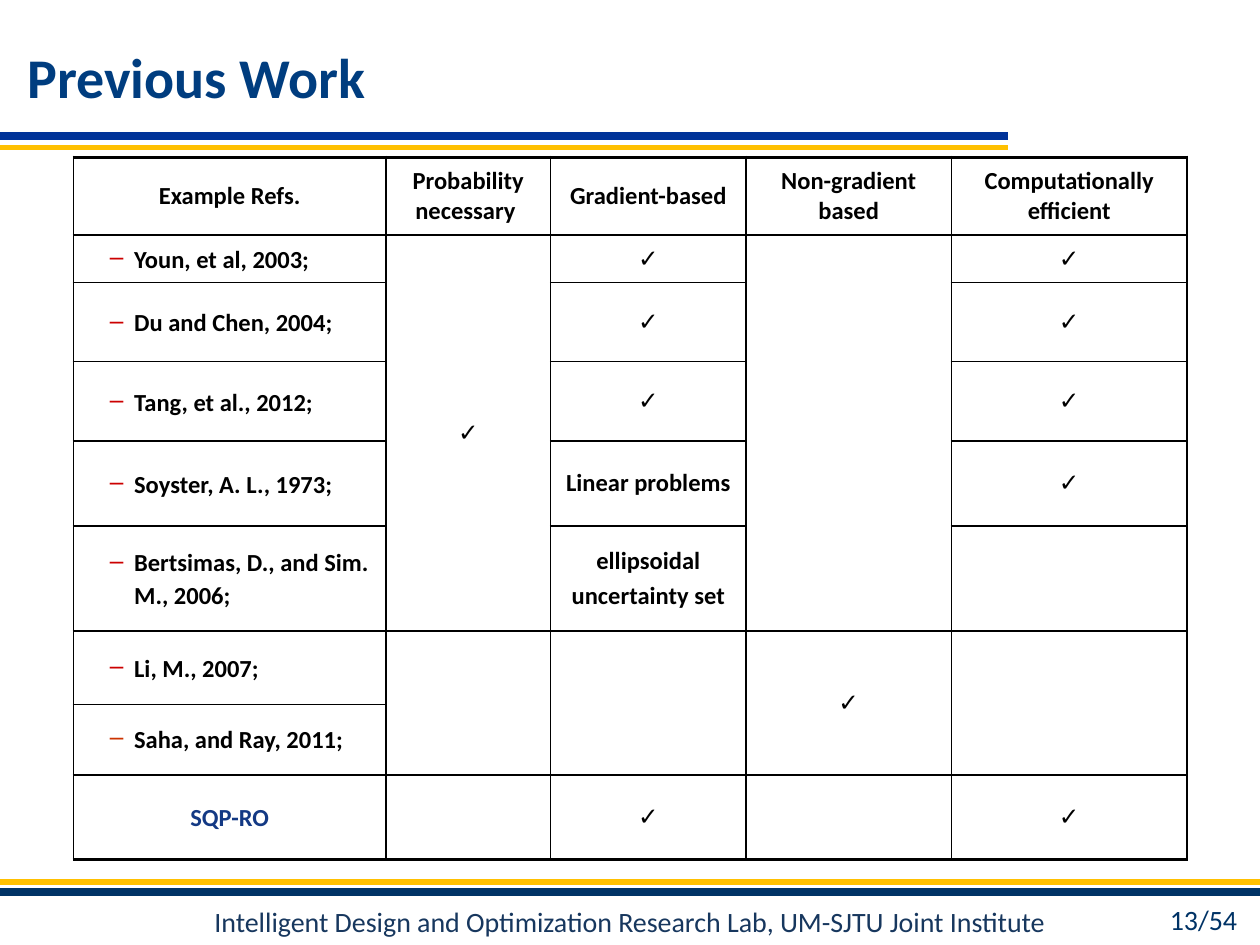
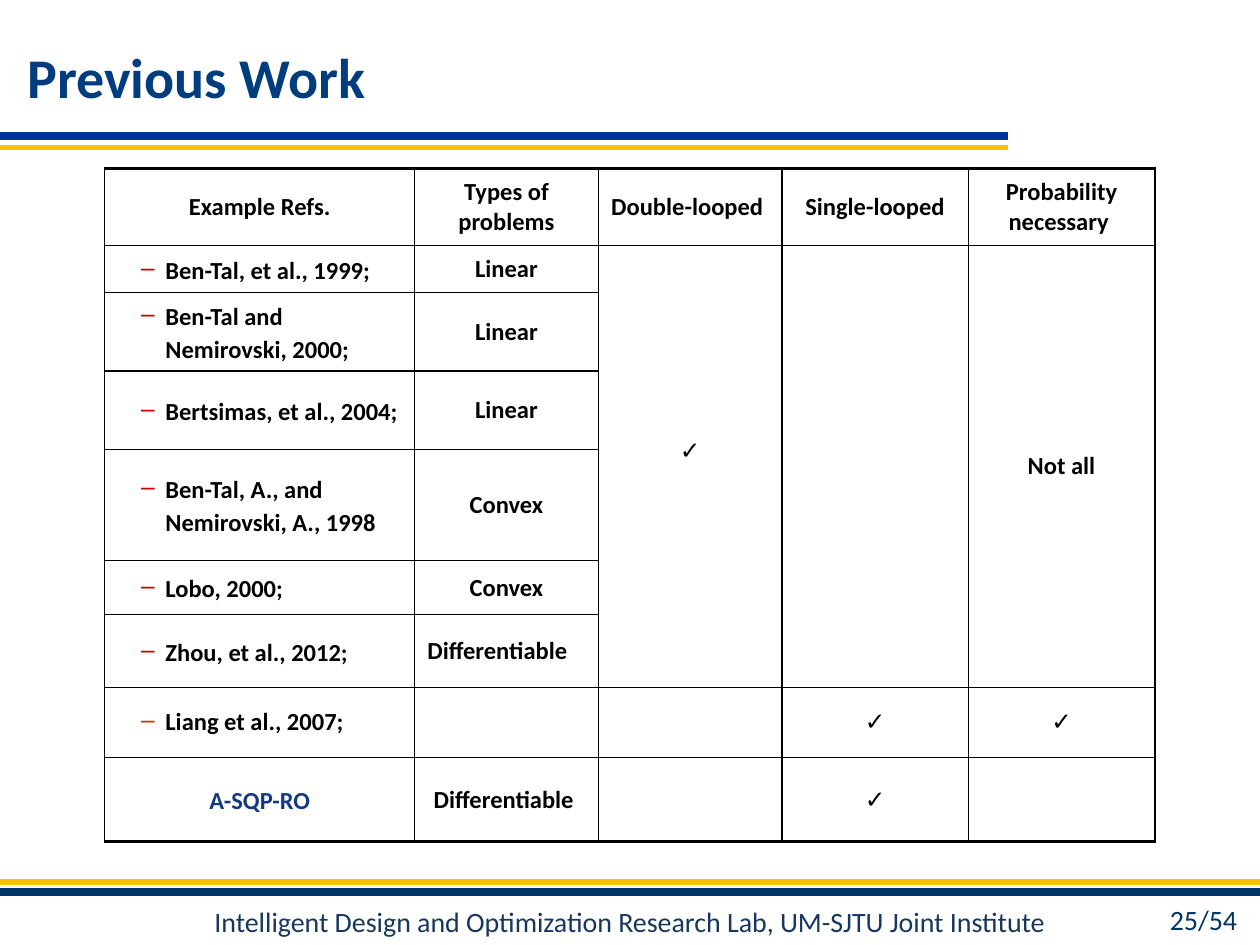
"""Build two slides that compare previous work in tables."""
from lxml import etree
from pptx import Presentation
from pptx.dml.color import RGBColor
from pptx.enum.shapes import MSO_CONNECTOR
from pptx.enum.text import MSO_ANCHOR, PP_ALIGN
from pptx.oxml.ns import qn
from pptx.util import Cm, Pt

STRAIGHT = MSO_CONNECTOR.STRAIGHT
TOP, MIDDLE = MSO_ANCHOR.TOP, MSO_ANCHOR.MIDDLE
LEFT, CENTER, RIGHT = PP_ALIGN.LEFT, PP_ALIGN.CENTER, PP_ALIGN.RIGHT

BLACK = RGBColor(0x00, 0x00, 0x00)
TITLE_BLUE = RGBColor(0x00, 0x3D, 0x7F)
BAND_BLUE = RGBColor(0x00, 0x33, 0x99)
NAVY = RGBColor(0x00, 0x33, 0x66)
FOOTER_BLUE = RGBColor(0x17, 0x37, 0x5E)
METHOD_BLUE = RGBColor(0x13, 0x39, 0x84)
GOLD = RGBColor(0xFF, 0xC0, 0x00)
RED = RGBColor(0xCC, 0x00, 0x00)
ORANGE = RGBColor(0xCC, 0x33, 0x00)

FONT = "Calibri"
SLIDE_WIDTH, SLIDE_HEIGHT = 25.4, 19.05
BANDS = [
    (2.74, 20.32, BAND_BLUE, 4.5),
    (2.97, 20.32, GOLD, 3),
    (17.78, SLIDE_WIDTH, GOLD, 3),
    (17.98, SLIDE_WIDTH, NAVY, 4.5),
]
FOOTER = "Intelligent Design and Optimization Research Lab, UM-SJTU Joint Institute"
CHECK = "✓"

ROBUST_WORK = {
    "left": 1.48,
    "top": 3.17,
    "widths": [6.3, 3.32, 3.94, 4.14, 4.75],
    "heights": [1.57, 0.95, 1.6, 1.6, 1.71, 2.12, 1.48, 1.42, 1.7],
    "rows": [
        ["Example Refs.", "Probability necessary ", "Gradient-based",
         "Non-gradient based", "Computationally efficient"],
        ["Youn, et al, 2003;", CHECK, CHECK, "", CHECK],
        ["Du and Chen, 2004;", "", CHECK, "", CHECK],
        ["Tang, et al., 2012;", "", CHECK, "", CHECK],
        ["Soyster, A. L., 1973;", "", "Linear problems", "", CHECK],
        ["Bertsimas, D., and Sim. M., 2006;", "", "ellipsoidal\nuncertainty set", "", ""],
        ["Li, M., 2007;", "", "", CHECK, ""],
        ["Saha, and Ray, 2011;", "", "", "", ""],
        ["SQP-RO", "", CHECK, "", CHECK],
    ],
    "merges": [(1, 5, 1), (1, 5, 3), (6, 7, 1), (6, 7, 2), (6, 7, 3), (6, 7, 4)],
}
LOOPED_WORK = {
    "left": 2.11,
    "top": 3.39,
    "widths": [6.25, 3.7, 3.7, 3.76, 3.76],
    "heights": [1.56, 0.95, 1.58, 1.58, 2.24, 1.09, 1.47, 1.41, 1.7],
    "rows": [
        ["Example Refs.", "Types of problems", "Double-looped ",
         "Single-looped", "Probability necessary "],
        ["Ben-Tal, et al., 1999;", "Linear", CHECK, "", "Not all"],
        ["Ben-Tal and Nemirovski, 2000;", "Linear", "", "", ""],
        ["Bertsimas, et al., 2004;", "Linear", "", "", ""],
        ["Ben-Tal, A., and Nemirovski, A., 1998", "Convex", "", "", ""],
        ["Lobo, 2000;", "Convex", "", "", ""],
        ["Zhou, et al., 2012;", "Differentiable", "", "", ""],
        ["Liang et al., 2007;", "", "", CHECK, CHECK],
        ["A-SQP-RO", "Differentiable ", "", CHECK, ""],
    ],
    "merges": [(1, 6, 2), (1, 6, 3), (1, 6, 4)],
}


def write(frame, text, size=14, color=BLACK, bold=False, align=LEFT,
          before=0, spacing=1.0, dash=None):
    """Write one paragraph per line of text, with an optional coloured dash."""
    for number, line in enumerate(text.split("\n")):
        para = frame.add_paragraph() if number else frame.paragraphs[0]
        para.alignment = align
        para.space_before = Pt(before)
        para.line_spacing = spacing
        if dash is not None:
            properties = para._p.get_or_add_pPr()
            properties.set("marL", str(Cm(0.97)))
            properties.set("indent", str(-Cm(0.49)))
            tint = etree.SubElement(properties, qn("a:buClr"))
            etree.SubElement(tint, qn("a:srgbClr"), val=str(dash))
            etree.SubElement(properties, qn("a:buChar"), char="–")
        span = para.add_run()
        span.text = line
        span.font.name = FONT
        span.font.size = Pt(size)
        span.font.bold = bold
        span.font.color.rgb = color


def set_borders(cell, top, bottom):
    """Give a cell thin black sides and the given top and bottom widths."""
    properties = cell._tc.get_or_add_tcPr()
    for side, width in (("L", 1), ("R", 1), ("T", top), ("B", bottom)):
        line = etree.SubElement(properties, qn(f"a:ln{side}"), w=str(Pt(width)))
        fill = etree.SubElement(line, qn("a:solidFill"))
        etree.SubElement(fill, qn("a:srgbClr"), val=str(BLACK))


class DeckBuilder:
    """Hold the deck style and the current page."""

    def __init__(self):
        """Start an empty deck."""
        self.deck = Presentation()
        self.deck.slide_width = Cm(SLIDE_WIDTH)
        self.deck.slide_height = Cm(SLIDE_HEIGHT)
        self.page = None

    def add_page(self, title, number):
        """Add a page with its bands, title, footer and page number."""
        self.page = self.deck.slides.add_slide(self.deck.slide_layouts[6])
        for band in BANDS:
            self.add_band(*band)
        self.add_text(title, 0.3, 0.64, 20, 1.78, size=32, color=TITLE_BLUE, bold=True)
        self.add_text(FOOTER, 1.3, 18.11, 22.8, 0.94, anchor=TOP,
                      size=16, color=FOOTER_BLUE, align=CENTER)
        self.add_text(number, 22.78, 18.03, 2.41, 1.02, size=16, color=NAVY, align=RIGHT)

    def add_band(self, top, length, color, width):
        """Draw a horizontal line from the left edge of the page."""
        band = self.page.shapes.add_connector(STRAIGHT, 0, Cm(top), Cm(length), Cm(top))
        band.line.color.rgb = color
        band.line.width = Pt(width)
        etree.SubElement(band._element.spPr, qn("a:effectLst"))

    def add_text(self, text, left, top, width, height, anchor=MIDDLE, **style):
        """Add a wrapped text box."""
        box = self.page.shapes.add_textbox(Cm(left), Cm(top), Cm(width), Cm(height))
        box.text_frame.word_wrap = True
        box.text_frame.vertical_anchor = anchor
        write(box.text_frame, text, **style)

    def add_table(self, left, top, widths, heights, rows, merges):
        """Add a comparison table and return it."""
        table = self.page.shapes.add_table(
            len(rows), len(widths), Cm(left), Cm(top),
            Cm(sum(widths)), Cm(sum(heights))).table
        table.first_row = table.horz_banding = False
        for column, width in zip(table.columns, widths):
            column.width = Cm(width)
        for row, height in zip(table.rows, heights):
            row.height = Cm(height)
        last = len(rows) - 1
        for row, texts in enumerate(rows):
            for column, text in enumerate(texts):
                cell = table.cell(row, column)
                cell.vertical_anchor = MIDDLE
                set_borders(cell, 2 if row == 0 else 1, 2 if row == last else 1)
                cell.fill.background()
                style = self.cell_style(row, column, last)
                write(cell.text_frame, text, bold=True, **style)
        for first, final, column in merges:
            table.cell(first, column).merge(table.cell(final, column))
        return table

    def cell_style(self, row, column, last):
        """Return the text format for a position in a comparison table."""
        if row == 0:
            return {"align": CENTER}
        if column:
            return {"align": CENTER, "before": 2.8}
        if row == last:
            return {"align": CENTER, "before": 2.8, "spacing": 1.1, "color": METHOD_BLUE}
        if row == last - 1:
            return {"dash": ORANGE}
        return {"dash": RED, "before": 2.8, "spacing": 1.1}


def main():
    """Build and save the deck."""
    builder = DeckBuilder()
    builder.add_page("Previous Work", "13/54")
    builder.add_table(**ROBUST_WORK)
    builder.add_page("Previous Work", "25/54")
    table = builder.add_table(**LOOPED_WORK)
    table.cell(1, 2).margin_bottom = Cm(0.73)
    table.cell(6, 1).text_frame.paragraphs[0].alignment = LEFT
    builder.deck.save("out.pptx")


if __name__ == "__main__":
    main()
